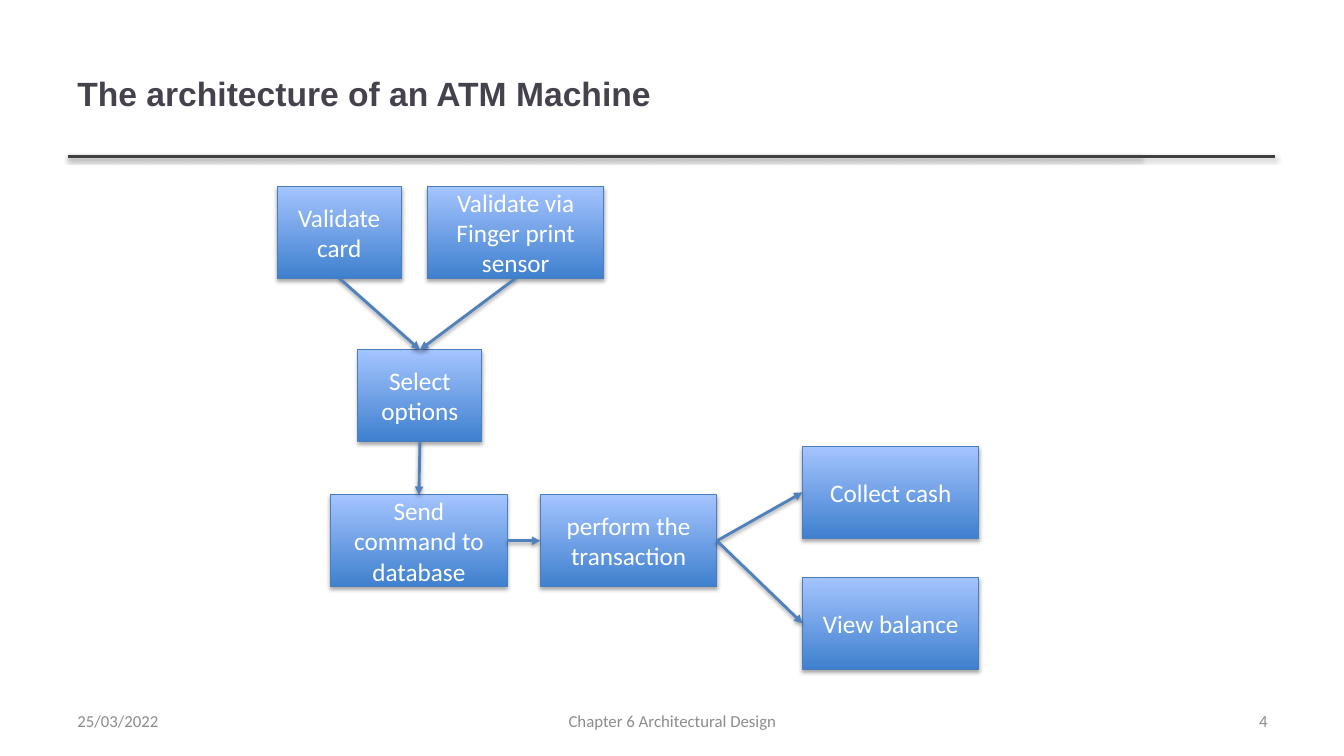
from dataclasses import dataclass
from typing import Any

import pptx
import pptx.dml.color
import pptx.enum.shapes
import pptx.enum.text
import pptx.oxml
import pptx.oxml.ns
import pptx.util
from lxml import etree

RGBColor = pptx.dml.color.RGBColor
Align = pptx.enum.text.PP_ALIGN

PX = 9144
WHITE = RGBColor(0xFF, 0xFF, 0xFF)
TITLE_INK = RGBColor(0x46, 0x42, 0x4D)
FOOTER_GREY = RGBColor(0x8C, 0x8C, 0x8C)
RULE_GREY = RGBColor(0x40, 0x40, 0x40)
ARROW_BLUE = RGBColor(0x4F, 0x81, 0xBD)
BOX_EDGE = RGBColor(0x4B, 0x7E, 0xBC)
BOX_BOTTOM = RGBColor(0x3F, 0x80, 0xCE)
BOX_TOP = RGBColor(0xA4, 0xC4, 0xFF)

BOX_HEIGHT = 91
NARROW, WIDE = 123, 175
TOP, LEFT, BOTTOM, RIGHT = range(4)
RULE_LEFT, RULE_TOP = 67, 155


@dataclass(frozen=True)
class Label:
    text: str
    left: int
    top: int
    width: int
    height: int
    align: Any
    font: dict[str, Any]


@dataclass(frozen=True)
class Step:
    text: str
    left: int
    top: int
    width: int


@dataclass(frozen=True)
class Arrow:
    start: str
    start_side: int
    end: str
    end_side: int


TITLE_FONT = {"name": "Arial", "size": pptx.util.Pt(24), "bold": True, "color": TITLE_INK}
FOOTER_FONT = {"name": "Calibri", "size": pptx.util.Pt(12), "color": FOOTER_GREY}
STEP_FONT = {"name": "Calibri", "size": pptx.util.Pt(18), "color": WHITE}

LABELS = [
    Label("The architecture of an ATM Machine", 67, 30, 1063, 125, Align.LEFT, TITLE_FONT),
    Label("25/03/2022", 67, 695, 311, 40, Align.LEFT, FOOTER_FONT),
    Label("Chapter 6 Architectural Design", 456, 695, 422, 40, Align.CENTER, FOOTER_FONT),
    Label("4", 956, 695, 311, 40, Align.RIGHT, FOOTER_FONT),
]

STEPS = {
    "card": Step("Validate card", 275, 185, NARROW),
    "fingerprint": Step("Validate via Finger print sensor", 424, 185, WIDE),
    "options": Step("Select options", 355, 347, NARROW),
    "command": Step("Send command to database", 328, 491, WIDE),
    "transaction": Step("perform the transaction", 536, 491, WIDE),
    "cash": Step("Collect cash", 796, 443, WIDE),
    "balance": Step("View balance", 796, 573, WIDE),
}

ARROWS = [
    Arrow("card", BOTTOM, "options", TOP),
    Arrow("fingerprint", BOTTOM, "options", TOP),
    Arrow("options", BOTTOM, "command", TOP),
    Arrow("command", RIGHT, "transaction", LEFT),
    Arrow("transaction", RIGHT, "cash", LEFT),
    Arrow("transaction", RIGHT, "balance", LEFT),
]


def px(length: int) -> pptx.util.Emu:
    return pptx.util.Emu(length * PX)


def add_shadow(shape: Any, opacity: int, distance: float) -> None:
    namespace = pptx.oxml.ns.nsdecls("a")
    blur, offset = pptx.util.Pt(3.1), pptx.util.Pt(distance)
    shape._element.spPr.append(pptx.oxml.parse_xml(
        f'<a:effectLst {namespace}><a:outerShdw blurRad="{blur}" dist="{offset}" '
        f'dir="5400000" rotWithShape="0"><a:srgbClr val="000000">'
        f'<a:alpha val="{opacity * 1000}"/></a:srgbClr></a:outerShdw></a:effectLst>'
    ))


def write_text(shape: Any, text: str, align: Any, font: dict[str, Any]) -> None:
    frame = shape.text_frame
    frame.word_wrap = True
    frame.vertical_anchor = pptx.enum.text.MSO_ANCHOR.MIDDLE
    paragraph = frame.paragraphs[0]
    paragraph.alignment = align
    run = paragraph.add_run()
    run.text = text
    for name, value in font.items():
        if name == "color":
            run.font.color.rgb = value
        else:
            setattr(run.font, name, value)


def add_label(slide: Any, label: Label) -> None:
    box = slide.shapes.add_textbox(
        px(label.left), px(label.top), px(label.width), px(label.height)
    )
    write_text(box, label.text, label.align, label.font)


def add_step(slide: Any, step: Step) -> Any:
    box = slide.shapes.add_shape(
        pptx.enum.shapes.MSO_SHAPE.RECTANGLE,
        px(step.left), px(step.top), px(step.width), px(BOX_HEIGHT),
    )
    box.fill.gradient()
    box.fill.gradient_angle = 90
    for stop, color, position in zip(box.fill.gradient_stops, (BOX_BOTTOM, BOX_TOP), (0, 1)):
        stop.color.rgb = color
        stop.position = position
    box.line.color.rgb = BOX_EDGE
    box.line.width = pptx.util.Pt(0.75)
    add_shadow(box, 35, 1.8)
    write_text(box, step.text, Align.CENTER, STEP_FONT)
    return box


def add_line(slide: Any, left: int, top: int, right: int, bottom: int, color: RGBColor) -> Any:
    line = slide.shapes.add_connector(
        pptx.enum.shapes.MSO_CONNECTOR.STRAIGHT, px(left), px(top), px(right), px(bottom)
    )
    line.line.color.rgb = color
    line.line.width = pptx.util.Pt(2)
    add_shadow(line, 38, 1.6)
    return line


def add_arrow(slide: Any, arrow: Arrow, boxes: dict[str, Any]) -> None:
    line = add_line(slide, 0, 0, 0, 0, ARROW_BLUE)
    line.begin_connect(boxes[arrow.start], arrow.start_side)
    line.end_connect(boxes[arrow.end], arrow.end_side)
    outline = line.line._get_or_add_ln()
    etree.SubElement(outline, pptx.oxml.ns.qn("a:tailEnd"), type="triangle")


def main() -> None:
    presentation = pptx.Presentation()
    presentation.slide_width = px(1333)
    presentation.slide_height = px(750)
    slide = presentation.slides.add_slide(presentation.slide_layouts[6])
    for rule_right in (1132, 1265):
        add_line(slide, RULE_LEFT, RULE_TOP, rule_right, RULE_TOP, RULE_GREY)
    for label in LABELS:
        add_label(slide, label)
    boxes = {name: add_step(slide, step) for name, step in STEPS.items()}
    for arrow in ARROWS:
        add_arrow(slide, arrow, boxes)
    presentation.save("out.pptx")


if __name__ == "__main__":
    main()
